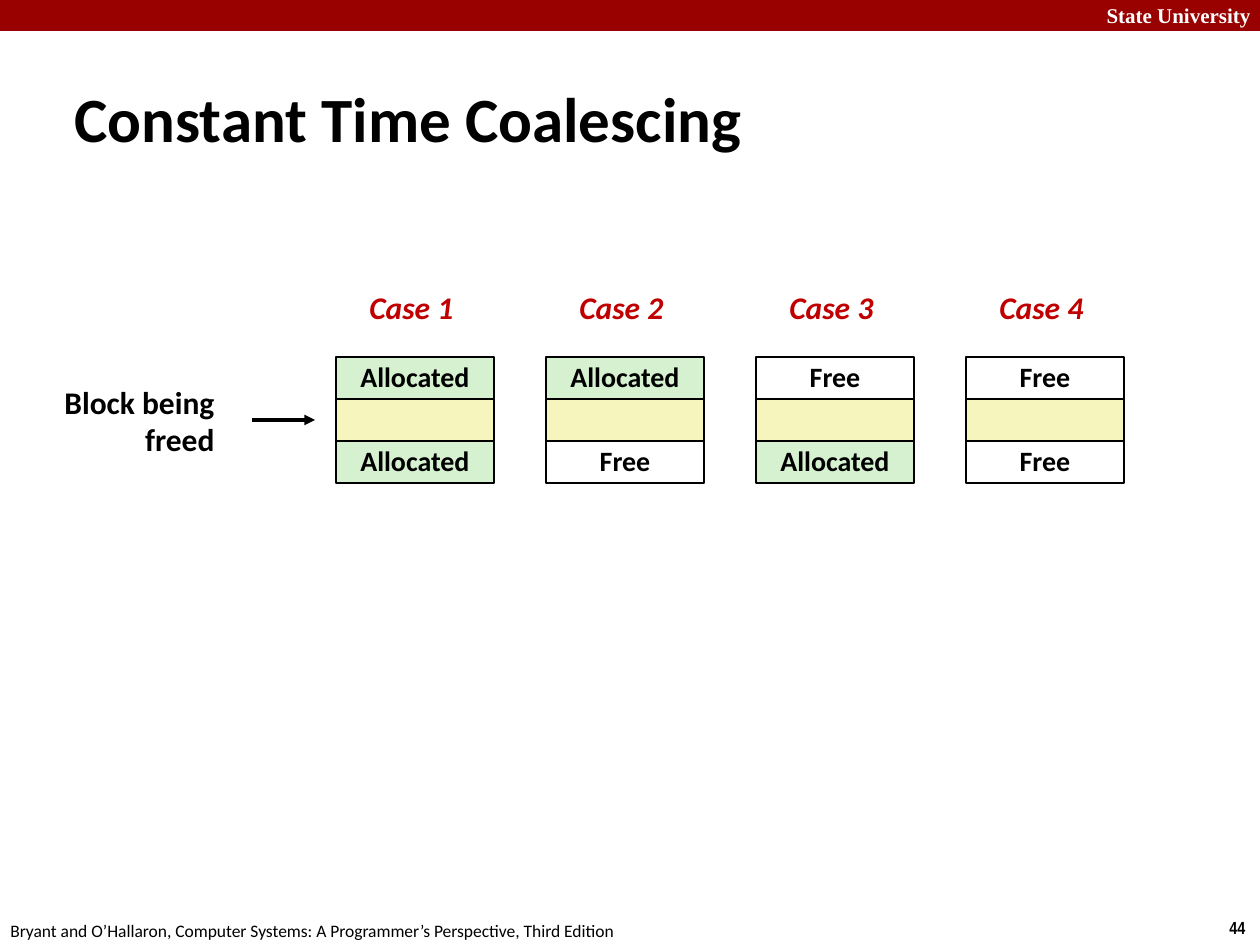
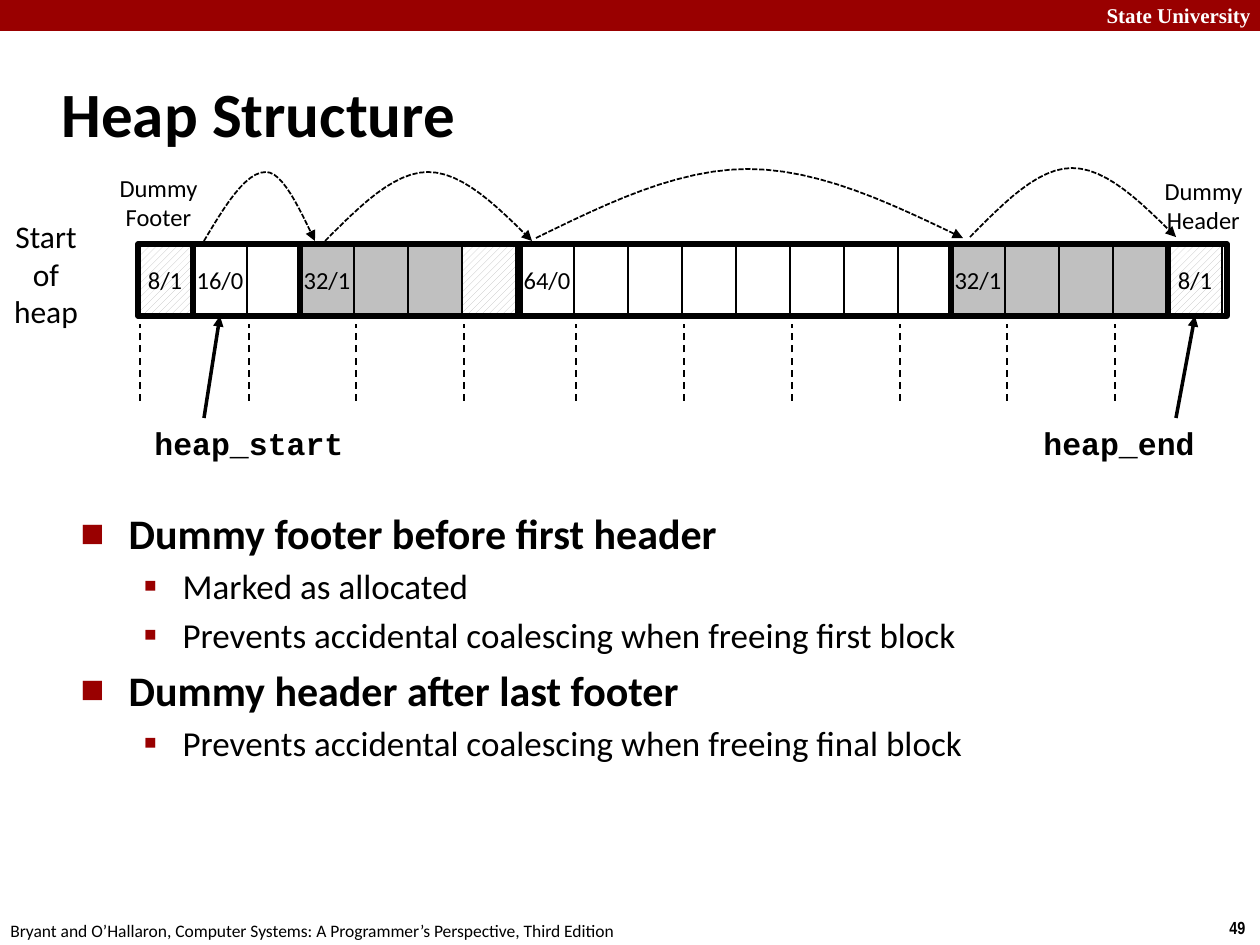
from itertools import pairwise

from lxml import etree
from pptx import Presentation
from pptx.dml.color import RGBColor
from pptx.enum.dml import MSO_LINE, MSO_PATTERN
from pptx.enum.shapes import MSO_CONNECTOR, MSO_SHAPE
from pptx.enum.text import MSO_ANCHOR, MSO_AUTO_SIZE, PP_ALIGN
from pptx.oxml.ns import qn
from pptx.util import Pt

RECT = MSO_SHAPE.RECTANGLE
STRAIGHT = MSO_CONNECTOR.STRAIGHT
DASH, SHORT_DASH = MSO_LINE.DASH, MSO_LINE.SQUARE_DOT
HATCH = MSO_PATTERN.WIDE_UPWARD_DIAGONAL
LEFT, CENTER, RIGHT = PP_ALIGN.LEFT, PP_ALIGN.CENTER, PP_ALIGN.RIGHT
TOP, MIDDLE = MSO_ANCHOR.TOP, MSO_ANCHOR.MIDDLE
NO_FIT = MSO_AUTO_SIZE.NONE

BLACK = RGBColor(0x00, 0x00, 0x00)
WHITE = RGBColor(0xFF, 0xFF, 0xFF)
MAROON = RGBColor(0x99, 0x00, 0x00)
RED = RGBColor(0xC0, 0x00, 0x00)
GREEN = RGBColor(0xD5, 0xF1, 0xCF)
YELLOW = RGBColor(0xF6, 0xF5, 0xBD)
GRAY = RGBColor(0xC0, 0xC0, 0xC0)

PX = 914400 / 126  # EMU in one px

# Shared content
SCHOOL = "State University"
FOOTER = ("Bryant and O’Hallaron, Computer Systems: "
          "A Programmer’s Perspective, Third Edition")

# Content: coalescing cases, as the states of the blocks above and below
CASES = [("Allocated", "Allocated"), ("Allocated", "Free"),
         ("Free", "Allocated"), ("Free", "Free")]
STATE_FILL = {"Allocated": GREEN, "Free": WHITE}
CASE_X, CASE_Y, CASE_STEP, CASE_W, CASE_H = 336, 357, 210, 158, 42

# Content: heap blocks as left edge, header text, fill of each word
HEAP = [
    (138, "8/1", [HATCH]),
    (193, "16/0", [WHITE] * 2),
    (300, "32/1", [GRAY] * 3 + [HATCH]),
    (520, "64/0", [WHITE] * 8),
    (951, "32/1", [GRAY] * 4),
    (1168, "8/1", [HATCH]),
]
HEAP_END, HEAP_Y, HEAP_H, WORD_W = 1227, 244, 72, 54
# Arcs from header to header: start, peak and end x, base y
ARCS = [(204, 266, 315, 241), (325, 428, 532, 241),
        (536, 748, 963, 238), (970, 1072, 1176, 237)]
ARC_H, ARC_STEPS = 69, 12
# Centred labels: text, box, size
HEAP_LABELS = [("Start\nof\nheap", (-1, 210, 94, 127), 18),
               ("Dummy\nFooter", (107, 166, 103, 72), 14),
               ("Dummy\nHeader", (1152, 169, 103, 72), 14)]
# Pointers: name, box, arrow start x, index of the word pointed at
POINTERS = [("heap_start", (142, 418, 215, 50), 204, 1),
            ("heap_end", (1031, 418, 178, 50), 1176, -1)]
POINTER_Y = 418
BULLETS = [
    (0, "Dummy footer before first header"),
    (1, "Marked as allocated"),
    (1, "Prevents accidental coalescing when freeing first block"),
    (0, "Dummy header after last footer"),
    (1, "Prevents accidental coalescing when freeing final block"),
]
# Per level: size, bold, text indent, hanging indent, bullet, bullet percent
LEVELS = [(24, True, 48, 48, "■", 60), (20, False, 102, 39, "▪", 110)]


def emu(*lengths):
    return [round(v * PX) for v in lengths]


def write(tf, text, size=18, font="Calibri", color=BLACK, bold=False,
          italic=False, align=LEFT, anchor=TOP, spacing=None, wrap=False):
    """Put each line of text in its own paragraph."""
    tf.auto_size, tf.word_wrap, tf.vertical_anchor = NO_FIT, wrap, anchor
    for i, line in enumerate(text.split("\n")):
        p = tf.add_paragraph() if i else tf.paragraphs[0]
        p.alignment = align
        if spacing:
            p.line_spacing = spacing
        r = p.add_run()
        r.text = line
        r.font.name, r.font.size, r.font.color.rgb = font, Pt(size), color
        r.font.bold, r.font.italic = bold, italic


def label(slide, text, box, **fmt):
    sp = slide.shapes.add_textbox(*emu(*box))
    write(sp.text_frame, text, **fmt)
    return sp


def rect(slide, box, fill=None, line=1, text="", **fmt):
    sp = slide.shapes.add_shape(RECT, *emu(*box))
    sp.shadow.inherit = False
    if fill is None:
        sp.fill.background()
    elif fill is HATCH:
        sp.fill.patterned()
        sp.fill.pattern = HATCH
        sp.fill.fore_color.rgb, sp.fill.back_color.rgb = GRAY, WHITE
    else:
        sp.fill.solid()
        sp.fill.fore_color.rgb = fill
    if line:
        stroke(sp, line)
    else:
        sp.line.fill.background()
    if text:
        write(sp.text_frame, text, align=CENTER, anchor=MIDDLE, **fmt)
    return sp


def stroke(sp, width, dash=None, arrow=False):
    sp.line.color.rgb, sp.line.width = BLACK, Pt(width)
    if dash:
        sp.line.dash_style = dash
    if arrow:
        ln = sp.element.spPr.find(qn("a:ln"))
        etree.SubElement(ln, qn("a:tailEnd"), type="triangle")


def connector(slide, x1, y1, x2, y2, width, **style):
    cx = slide.shapes.add_connector(STRAIGHT, *emu(x1, y1, x2, y2))
    stroke(cx, width, **style)
    etree.SubElement(cx.element.spPr, qn("a:effectLst"))
    return cx


def arc(slide, start, peak, end, base):
    points = []
    for i in range(-ARC_STEPS, ARC_STEPS + 1):
        t = i / ARC_STEPS
        u = 1 - abs(t)
        x = peak + t * ((end - peak) if t > 0 else (peak - start))
        points.append(emu(x, base - ARC_H * (1.5 * u - 0.5 * u ** 3)))
    builder = slide.shapes.build_freeform(*points[0])
    builder.add_line_segments(points[1:], close=False)
    sp = builder.convert_to_shape()
    sp.shadow.inherit = False
    sp.fill.background()
    stroke(sp, 1, dash=SHORT_DASH, arrow=True)


def place(sp, box):
    sp.left, sp.top, sp.width, sp.height = emu(*box)


def new_slide(prs, layout, title, title_box, number):
    slide = prs.slides.add_slide(prs.slide_layouts[layout])
    place(slide.shapes.title, title_box)
    write(slide.shapes.title.text_frame, title, size=36, bold=True,
          anchor=MIDDLE, wrap=True)
    label(slide, number, (1217, 911, 43, 34), size=10,
          font="Arial Narrow", bold=True)
    return slide


def decorate_master(prs, slide):
    """Draw the band and footer, then move them to the master."""
    parts = [
        rect(slide, (0, 0, 1260, 31), MAROON, line=0),
        label(slide, SCHOOL, (1083, -4, 180, 38), size=12, color=WHITE,
              font="Times New Roman", bold=True, align=RIGHT, wrap=True),
        label(slide, FOOTER, (-2, 914, 640, 34), size=10),
    ]
    tree = prs.slide_master.placeholders[0].element.getparent()
    for part in parts:
        tree.append(part.element)


def bullet(p, level):
    size, bold, margin, hang, char, percent = LEVELS[level]
    p.level = level
    p.font.size, p.font.bold = Pt(size), bold
    p.font.name, p.font.color.rgb = "Calibri", BLACK
    pPr = p._p.get_or_add_pPr()
    pPr.set("marL", str(round(margin * PX)))
    pPr.set("indent", str(round(-hang * PX)))
    marks = []
    color = etree.Element(qn("a:buClr"))
    etree.SubElement(color, qn("a:srgbClr"), val=str(MAROON))
    marks.append(color)
    marks.append(etree.Element(qn("a:buSzPct"), val=str(percent * 1000)))
    marks.append(etree.Element(qn("a:buFont"), typeface="Calibri"))
    marks.append(etree.Element(qn("a:buChar"), char=char))
    for i, mark in enumerate(marks):
        pPr.insert(i, mark)


def coalescing_slide(prs):
    slide = new_slide(prs, 5, "Constant Time Coalescing",
                      (62, 78, 968, 79), "44")
    # One stack of three blocks for each case
    for i, (above, below) in enumerate(CASES):
        x = CASE_X + i * CASE_STEP
        label(slide, f"Case {i + 1}", (x + 21, 284, 110, 50), color=RED,
              bold=True, italic=True, spacing=0.98)
        for row, state in enumerate((above, "", below)):
            rect(slide, (x, CASE_Y + row * CASE_H, CASE_W, CASE_H),
                 STATE_FILL.get(state, YELLOW), text=state, size=16,
                 bold=True, spacing=0.98)
    # Pointer to the middle row
    label(slide, "Block being\nfreed", (50, 379, 177, 88), bold=True,
          align=RIGHT, spacing=0.98)
    connector(slide, 252, 420, 315, 420, 2, arrow=True)
    return slide


def heap_slide(prs):
    slide = new_slide(prs, 1, "Heap Structure", (49, 60, 1046, 105), "49")
    # Words, then a heavy frame around each block
    words = []
    for left, header, fills in HEAP:
        for i, fill in enumerate(fills):
            x = left + i * WORD_W
            words.append((x, rect(slide, (x, HEAP_Y, WORD_W, HEAP_H), fill,
                                  text="" if i else header, size=14)))
    edges = [block[0] for block in HEAP] + [HEAP_END]
    for left, right in pairwise(edges):
        rect(slide, (left, HEAP_Y, right - left, HEAP_H), line=3)
    # Alignment marks under every second word
    for x, _ in words[::2]:
        connector(slide, x + 2, 401, x + 2, 324, 1, dash=DASH)
    for points in ARCS:
        arc(slide, *points)
    # Labels and pointers
    for text, box, size in HEAP_LABELS:
        label(slide, text, box, size=size, align=CENTER, anchor=MIDDLE)
    for name, box, x, index in POINTERS:
        label(slide, name, box, font="Courier New", bold=True)
        target_x, word = words[index]
        cx = connector(slide, x, POINTER_Y, target_x + WORD_W / 2,
                       HEAP_Y + HEAP_H, 2, arrow=True)
        cx.end_connect(word, 2)
    # Bullets
    body = slide.placeholders[1]
    place(body, (68, 501, 1089, 270))
    tf = body.text_frame
    tf.auto_size = NO_FIT
    for i, (level, text) in enumerate(BULLETS):
        p = tf.add_paragraph() if i else tf.paragraphs[0]
        p.text = text
        bullet(p, level)


def main():
    prs = Presentation()
    prs.slide_width, prs.slide_height = emu(1260, 945)
    decorate_master(prs, coalescing_slide(prs))
    heap_slide(prs)
    prs.save("out.pptx")


if __name__ == "__main__":
    main()
